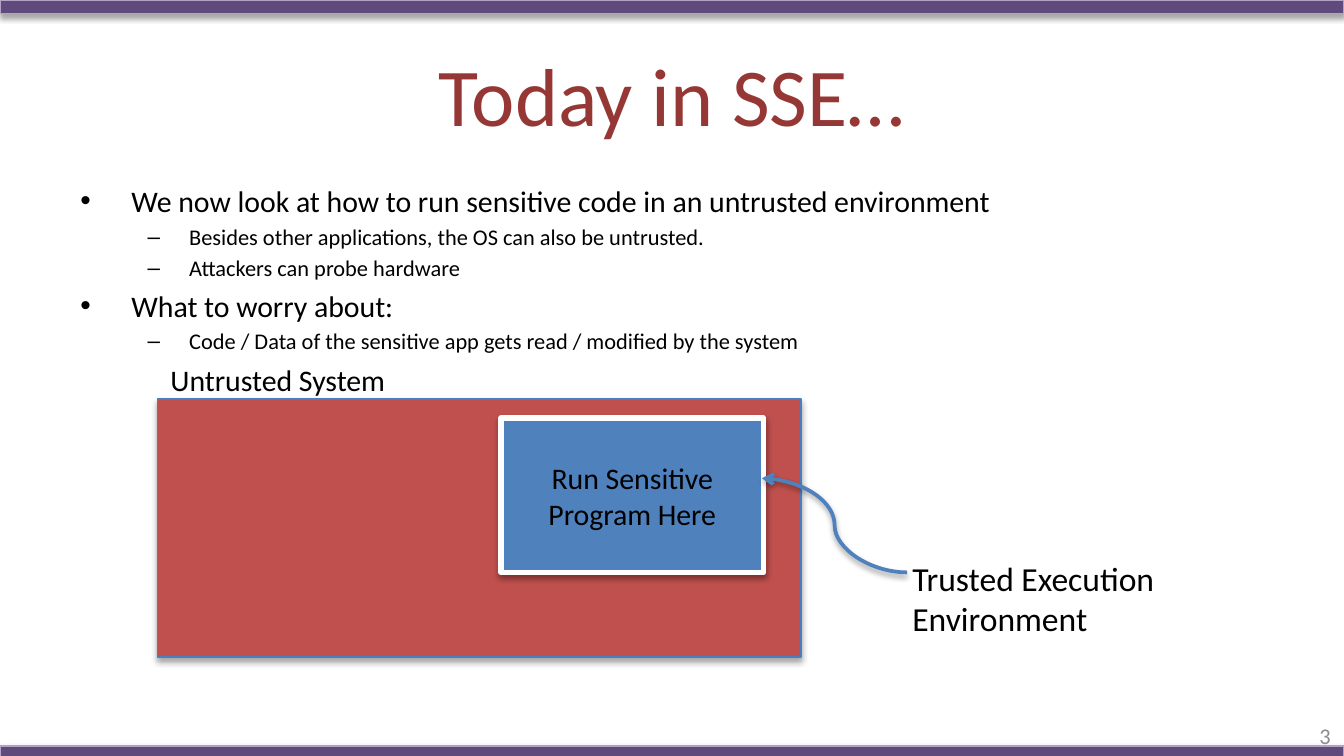
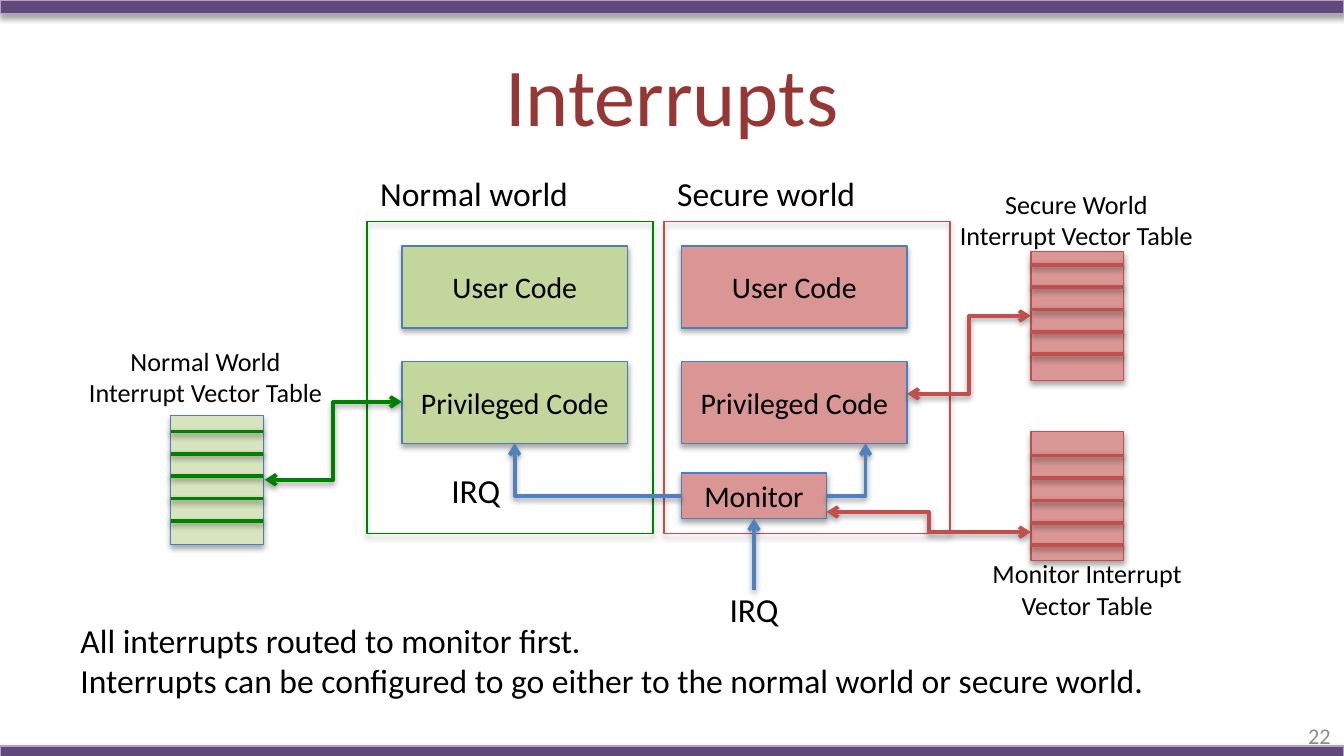
from lxml.etree import SubElement
from pptx import Presentation
from pptx.dml.color import RGBColor
from pptx.enum.shapes import MSO_CONNECTOR, MSO_SHAPE
from pptx.enum.text import MSO_ANCHOR, PP_ALIGN
from pptx.oxml import parse_xml
from pptx.oxml.ns import nsdecls, qn
from pptx.util import Inches, Pt

FONT = "Calibri"
BLACK, WHITE, GRAY = "000000", "FFFFFF", "8C8C8C"
PURPLE, LILAC, DARK_RED = "604A7B", "B3A2C7", "953735"
BLUE, EDGE_BLUE, RED, PINK = "4F81BD", "4B7EBC", "C0504D", "D99694"
GREEN, LIGHT_GREEN, PALE_GREEN = "008000", "C3D69B", "D7E4BD"
SHADOW = (
    f'<a:effectLst {nsdecls("a")}><a:outerShdw blurRad="40000" dist="%d" dir="5400000" '
    'rotWithShape="0"><a:srgbClr val="000000"><a:alpha val="%d"/></a:srgbClr>'
    "</a:outerShdw></a:effectLst>"
)


def add_box(page, at, lines=(), size=16, fill=None, line=None, width=0.75,
            align=PP_ALIGN.LEFT, anchor=MSO_ANCHOR.TOP, color=BLACK, wrap=True):
    """Add a bordered rectangle, or a plain text box when no line colour is given."""
    place = [Inches(value) for value in at]
    if line:
        box = page.shapes.add_shape(MSO_SHAPE.RECTANGLE, *place)
        if fill:
            box.fill.solid()
            box.fill.fore_color.rgb = RGBColor.from_string(fill)
        else:
            box.fill.background()
        box.line.color.rgb = RGBColor.from_string(line)
        box.line.width = Pt(width)
        box._element.spPr.append(parse_xml(SHADOW % (23000, 35000)))
        align, anchor = PP_ALIGN.CENTER, MSO_ANCHOR.MIDDLE
    else:
        box = page.shapes.add_textbox(*place)
    frame = box.text_frame
    frame.word_wrap = wrap
    frame.vertical_anchor = anchor
    for index, text in enumerate(lines):
        para = frame.add_paragraph() if index else frame.paragraphs[0]
        para.alignment = align
        span = para.add_run()
        span.text = text
        span.font.name = FONT
        span.font.size = Pt(size)
        span.font.color.rgb = RGBColor.from_string(color)
    return box


def add_link(page, kind, start, end, color, arrows=(), preset=None):
    """Add a shadowed connector; arrows lists the ends that get an arrowhead."""
    link = page.shapes.add_connector(kind, *[Inches(value) for value in start + end])
    link.line.color.rgb = RGBColor.from_string(color)
    link.line.width = Pt(2)
    outline = link.line._get_or_add_ln()
    for name in arrows:
        SubElement(outline, qn(f"a:{name}"), type="arrow")
    properties = link._element.spPr
    if preset:
        properties.find(qn("a:prstGeom")).set("prst", preset)
    properties.append(parse_xml(SHADOW % (20000, 38000)))
    return link


# A 16:9 deck
deck = Presentation()
deck.slide_width = Inches(10)
deck.slide_height = deck.slide_width * 9 // 16

# Shared parts: bands, title and slide number
pages = []
for heading, number in (("Today in SSE…", "3"), ("Interrupts", "22")):
    page = deck.slides.add_slide(deck.slide_layouts[5])
    pages.append(page)
    for top in (0, 5.55):
        add_box(page, (0, top, 10, 0.1), fill=PURPLE, line=LILAC)
    title = page.shapes.title
    title.left, title.top = Inches(0.5), Inches(0.23)
    title.width, title.height = Inches(9), Inches(0.94)
    title.text_frame.vertical_anchor = MSO_ANCHOR.MIDDLE
    para = title.text_frame.paragraphs[0]
    para.alignment = PP_ALIGN.CENTER
    span = para.add_run()
    span.text = heading
    span.font.name = FONT
    span.font.size = Pt(44)
    span.font.color.rgb = RGBColor.from_string(DARK_RED)
    add_box(page, (7.67, 5.32, 2.33, 0.3), [number], 12, align=PP_ALIGN.RIGHT,
            anchor=MSO_ANCHOR.MIDDLE, color=GRAY)
today, interrupts = pages

# Today: bullet list
bullets = [
    (0, "We now look at how to run sensitive code in an untrusted environment"),
    (1, "Besides other applications, the OS can also be untrusted."),
    (1, "Attackers can probe hardware"),
    (0, "What to worry about:"),
    (1, "Code / Data of the sensitive app gets read / modified by the system"),
]
levels = [(0.38, -0.38, "•", 16), (0.81, -0.31, "–", 12)]
body = add_box(today, (0.5, 1.31, 9, 3.71), [text for level, text in bullets])
for index, para in enumerate(body.text_frame.paragraphs):
    level = bullets[index][0]
    margin, indent, mark, size = levels[level]
    para.level = level
    properties = para._p.get_or_add_pPr()
    properties.set("marL", str(Inches(margin)))
    properties.set("indent", str(Inches(indent)))
    SubElement(properties, qn("a:buFont"), typeface="Arial")
    SubElement(properties, qn("a:buChar"), char=mark)
    para.runs[0].font.size = Pt(size)
    if index:
        para.space_before = Pt(size * 0.2)

# Today: untrusted system with the trusted environment inside
add_box(today, (1.17, 2.97, 4.79, 1.92), fill=RED, line=EDGE_BLUE)
add_box(today, (3.73, 3.11, 1.95, 1.15), ["Run Sensitive", "Program Here"],
        fill=BLUE, line=WHITE, width=3)
add_box(today, (1.17, 2.64, 2.28, 0.37), ["Untrusted System"])
add_box(today, (6.69, 4.1, 2.06, 0.71), ["Trusted Execution Environment"], 18)
add_link(today, MSO_CONNECTOR.CURVE, (6.75, 4.26), (5.67, 3.56), BLUE, ["tailEnd"])

# Interrupts: summary
add_box(interrupts, (0.5, 4.56, 8.89, 1.01), [
    "All interrupts routed to monitor first.",
    "Interrupts can be configured to go either to the normal world or secure world.",
], 18)

# Interrupts: the two worlds and their code
worlds = [
    ("Normal world", 2.73, 1.62, 2.99, GREEN, LIGHT_GREEN),
    ("Secure world", 4.94, 1.55, 5.07, RED, PINK),
]
for name, frame_left, name_width, code_left, edge, fill in worlds:
    add_box(interrupts, (frame_left, 1.65, 2.13, 2.32), line=edge)
    add_box(interrupts, (frame_left, 1.24, name_width, 0.4), [name], 18, wrap=False)
    for code, top in (("User Code", 1.83), ("Privileged Code", 2.69)):
        add_box(interrupts, (code_left, top, 1.68, 0.61), [code], fill=fill, line=EDGE_BLUE)
monitor = add_box(interrupts, (5.07, 3.52, 1.08, 0.34), ["Monitor"], fill=PINK, line=EDGE_BLUE)

# Interrupts: request routing
irq_arrow = add_link(interrupts, MSO_CONNECTOR.STRAIGHT, (5.61, 4.39), (5.61, 3.86),
                     BLUE, ["tailEnd"])
irq_arrow.end_connect(monitor, 2)
for left, top in ((5.33, 4.33), (3.26, 3.45)):
    add_box(interrupts, (left, top, 0.57, 0.4), ["IRQ"], 18, wrap=False)
for start, end in (((5.07, 3.69), (3.83, 3.3)), ((6.15, 3.69), (6.44, 3.3))):
    add_link(interrupts, MSO_CONNECTOR.ELBOW, start, end, BLUE, ["tailEnd"], "bentConnector2")

# Interrupts: vector tables with five stripes each
tables = [
    (7.67, 1.87, 1.97, PINK, RED, RED),
    (7.67, 3.21, 3.39, PINK, RED, RED),
    (1.27, 3.09, 3.21, PALE_GREEN, EDGE_BLUE, GREEN),
]
for left, top, first_stripe, fill, edge, stripe in tables:
    add_box(interrupts, (left, top, 0.69, 0.96), fill=fill, line=edge)
    for row in range(5):
        height = first_stripe + row * 0.5 / 3
        add_link(interrupts, MSO_CONNECTOR.STRAIGHT, (left, height), (left + 0.69, height), stripe)

# Interrupts: table labels and links to the code that uses them
labels = [
    (0.5, 2.52, ["Normal World Interrupt Vector Table"]),
    (7.06, 4.1, ["Monitor Interrupt Vector Table"]),
    (6.98, 1.35, ["Secure World", "Interrupt Vector Table"]),
]
for left, top, lines in labels:
    add_box(interrupts, (left, top, 2.06, 0.57), lines, 14, align=PP_ALIGN.CENTER)
links = [
    ((2.99, 2.99), (1.97, 3.57), GREEN),
    ((7.67, 3.96), (6.15, 3.81), RED),
    ((7.67, 2.35), (6.75, 2.93), RED),
]
for start, end, color in links:
    add_link(interrupts, MSO_CONNECTOR.ELBOW, start, end, color, ["headEnd", "tailEnd"])

deck.save("out.pptx")
